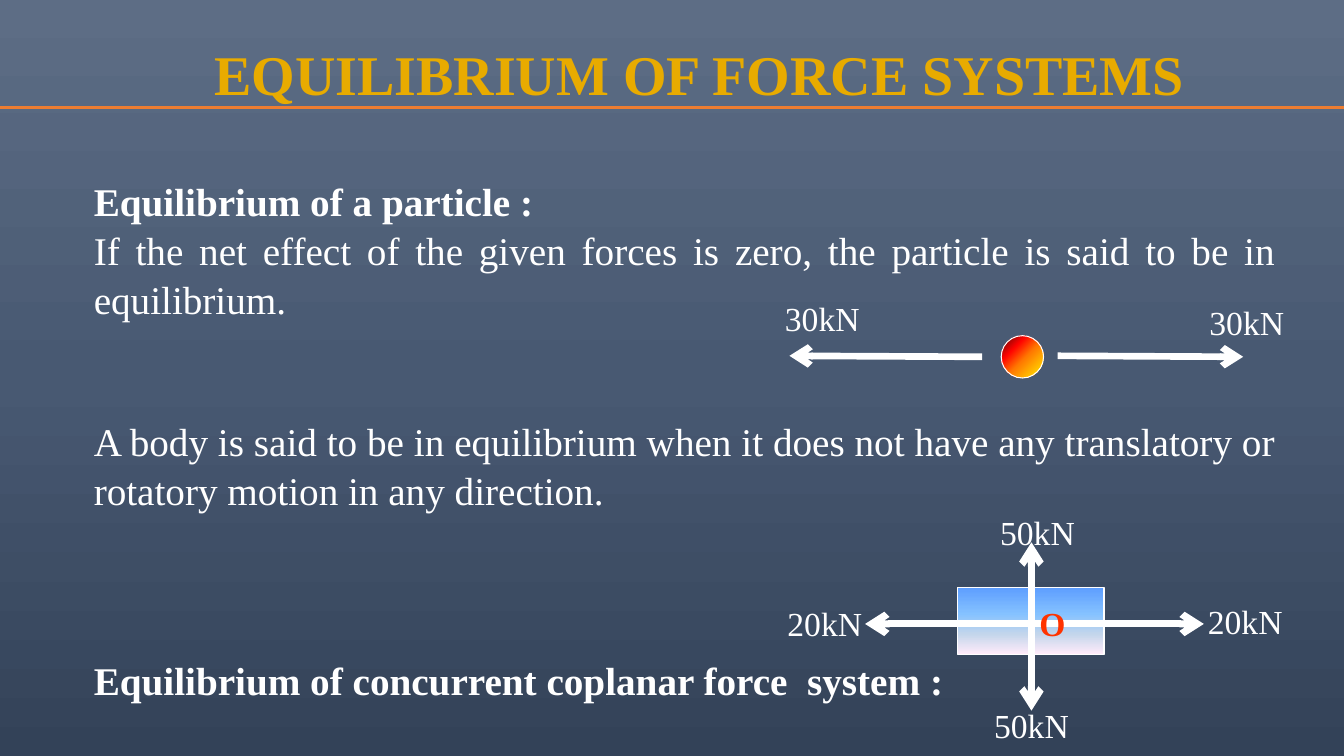
from pptx import Presentation
from pptx.dml.color import RGBColor
from pptx.enum.shapes import MSO_CONNECTOR, MSO_SHAPE
from pptx.enum.text import MSO_ANCHOR, MSO_AUTO_SIZE, PP_ALIGN
from pptx.oxml import parse_xml
from pptx.oxml.ns import nsdecls, qn
from pptx.util import Inches, Pt

FONT = "Times New Roman"
COLOURS = {"white": "FFFFFF", "gold": "E8AB00", "orange": "ED7D31", "red": "FF3300"}
GRADIENTS = {
    "page": [(0, "5D6D85"), (50, "485972"), (100, "334258")],
    "block": [(0, "5E9EFF"), (40, "85C2FF"), (70, "C4D6EB"), (100, "FFEBFA")],
    "particle": [(0, "FFF200"), (45, "FF7A00"), (70, "FF0300"), (100, "4D0808")],
}
DOWNWARD = '<a:lin ang="5400000" scaled="0"/>'
FROM_CORNER = '<a:path path="circle"><a:fillToRect l="100000" t="100000"/></a:path>'


def colour(name):
    return RGBColor.from_string(COLOURS[name])


def write(paragraph, text, size=24, ink="white", bold=False, align=PP_ALIGN.CENTER,
          before=0, spacing=None):
    paragraph.alignment = align
    paragraph.space_before = Pt(before)
    paragraph.space_after = Pt(0)
    if spacing:
        paragraph.line_spacing = spacing
    span = paragraph.add_run()
    span.text = text
    span.font.name = FONT
    span.font.size = Pt(size)
    span.font.bold = bold
    span.font.color.rgb = colour(ink)


def fill_gradient(fill, element, name, direction=DOWNWARD):
    """Swap the plain fill of an element for a gradient."""
    fill.solid()
    stops = "".join(f'<a:gs pos="{place * 1000}"><a:srgbClr val="{shade}"/></a:gs>'
                    for place, shade in GRADIENTS[name])
    plain = element.find(".//" + qn("a:solidFill"))
    plain.getparent().replace(plain, parse_xml(
        f'<a:gradFill {nsdecls("a")} rotWithShape="1"><a:gsLst>{stops}</a:gsLst>'
        f'{direction}</a:gradFill>'))


class ForceSlide:
    def __init__(self, deck):
        self.page = deck.slides.add_slide(deck.slide_layouts[1])
        fill_gradient(self.page.background.fill, self.page.element, "page")

    def place(self, box, left, top, width, height, anchor):
        box.left, box.top = Inches(left), Inches(top)
        box.width, box.height = Inches(width), Inches(height)
        box.text_frame.word_wrap = True
        box.text_frame.auto_size = MSO_AUTO_SIZE.NONE
        box.text_frame.vertical_anchor = anchor

    def title(self, text, *area):
        box = self.page.shapes.title
        self.place(box, *area, MSO_ANCHOR.MIDDLE)
        write(box.text_frame.paragraphs[0], text, size=40, ink="gold", bold=True)

    def body(self, items, *area):
        box = self.page.placeholders[1]
        self.place(box, *area, MSO_ANCHOR.TOP)
        frame = box.text_frame
        for index, (text, form) in enumerate(items):
            paragraph = frame.add_paragraph() if index else frame.paragraphs[0]
            properties = paragraph._p.get_or_add_pPr()
            properties.set("marL", "0")
            properties.set("indent", "0")
            properties.append(parse_xml(f'<a:buNone {nsdecls("a")}/>'))
            write(paragraph, text, size=28, align=PP_ALIGN.JUSTIFY, **form)

    def label(self, text, left, top, width=1.06, **form):
        box = self.page.shapes.add_textbox(
            Inches(left), Inches(top), Inches(width), Inches(0.5))
        box.text_frame.word_wrap = True
        write(box.text_frame.paragraphs[0], text, **form)

    def shape(self, kind, left, top, width, height, gradient, direction=DOWNWARD):
        shape = self.page.shapes.add_shape(
            kind, Inches(left), Inches(top), Inches(width), Inches(height))
        shape.shadow.inherit = False
        fill_gradient(shape.fill, shape.element, gradient, direction)
        shape.line.color.rgb = colour("white")
        shape.line.width = Pt(0.75)

    def line(self, start, end, width, ink="white", arrows=()):
        line = self.page.shapes.add_connector(
            MSO_CONNECTOR.STRAIGHT, *map(Inches, start + end))
        line.line.color.rgb = colour(ink)
        line.line.width = Pt(width)
        for tag in arrows:
            line.line._get_or_add_ln().append(
                parse_xml(f'<a:{tag} {nsdecls("a")} type="arrow"/>'))
        line.element.spPr.append(parse_xml(f'<a:effectLst {nsdecls("a")}/>'))


def main():
    deck = Presentation()
    deck.slide_width, deck.slide_height = Inches(13.33), Inches(7.5)
    slide = ForceSlide(deck)

    # Heading and its rule
    slide.line((0, 1.07), (13.33, 1.07), 2.25, ink="orange")
    slide.title("EQUILIBRIUM OF FORCE SYSTEMS", 1.5, 0.39, 10.87, 0.67)

    # Statements, with room left for the two diagrams
    pitch = 33.5
    slide.body([
        ("Equilibrium of a particle :", dict(bold=True, spacing=2.0)),
        ("If the net effect of the given forces is zero, the particle is said to be "
         "in equilibrium.", dict(spacing=1.04)),
        ("A body is said to be in equilibrium when it does not have any translatory "
         "or rotatory motion in any direction.",
         dict(spacing=1.04, before=2 * pitch)),
        ("Equilibrium of concurrent coplanar force  system :",
         dict(bold=True, spacing=1.04, before=3 * pitch)),
    ], 0.83, 1.24, 11.92, 5.76)

    # Block held by four forces
    slide.shape(MSO_SHAPE.RECTANGLE, 9.5, 5.83, 1.45, 0.66, "block")
    both_ends = ("headEnd", "tailEnd")
    slide.line((8.58, 6.19), (11.94, 6.19), 5, arrows=both_ends)
    slide.line((10.23, 5.38), (10.23, 7.05), 5, arrows=both_ends)
    for text, left, top in [("50kN", 9.76, 5.03), ("20kN", 7.65, 5.93),
                            ("20kN", 11.82, 5.91), ("50kN", 9.7, 6.94)]:
        slide.label(text, left, top)
    slide.label("O", 9.91, 5.93, ink="red", bold=True)

    # Particle pulled by two forces
    slide.shape(MSO_SHAPE.OVAL, 9.93, 3.33, 0.42, 0.42, "particle", FROM_CORNER)
    for start, end in [((10.49, 3.53), (12.33, 3.54)), ((9.74, 3.54), (7.83, 3.53))]:
        slide.line(start, end, 4.75, arrows=("tailEnd",))
    for left, top in [(11.74, 2.95), (7.53, 2.91)]:
        slide.label("30kN", left, top, width=1.25)

    deck.save("out.pptx")


if __name__ == "__main__":
    main()
